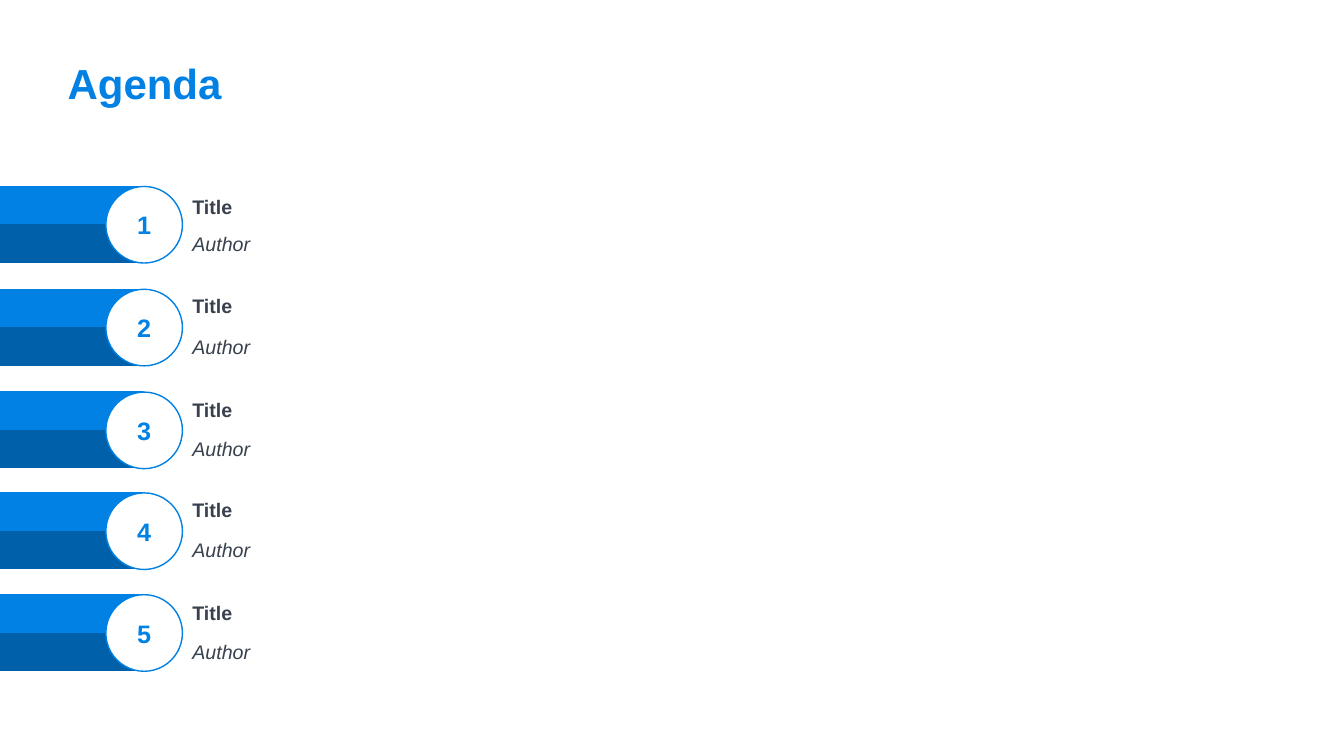
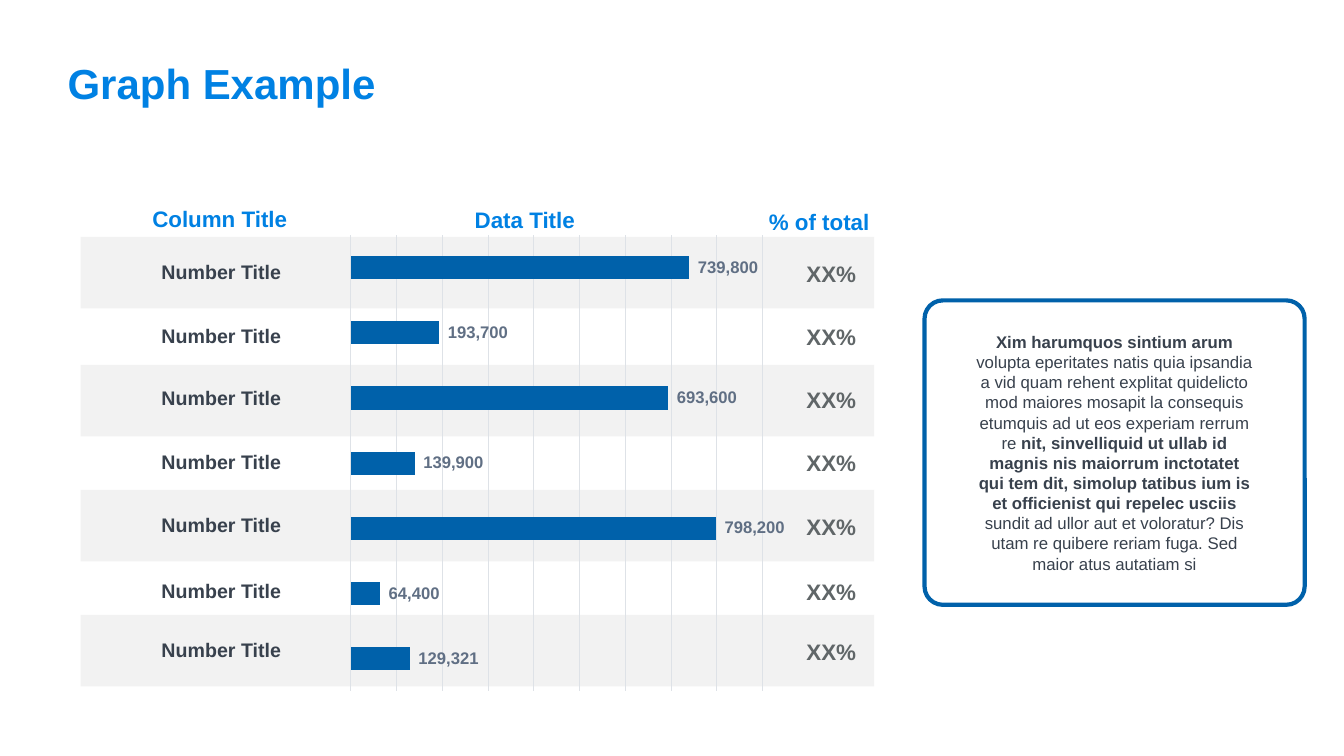
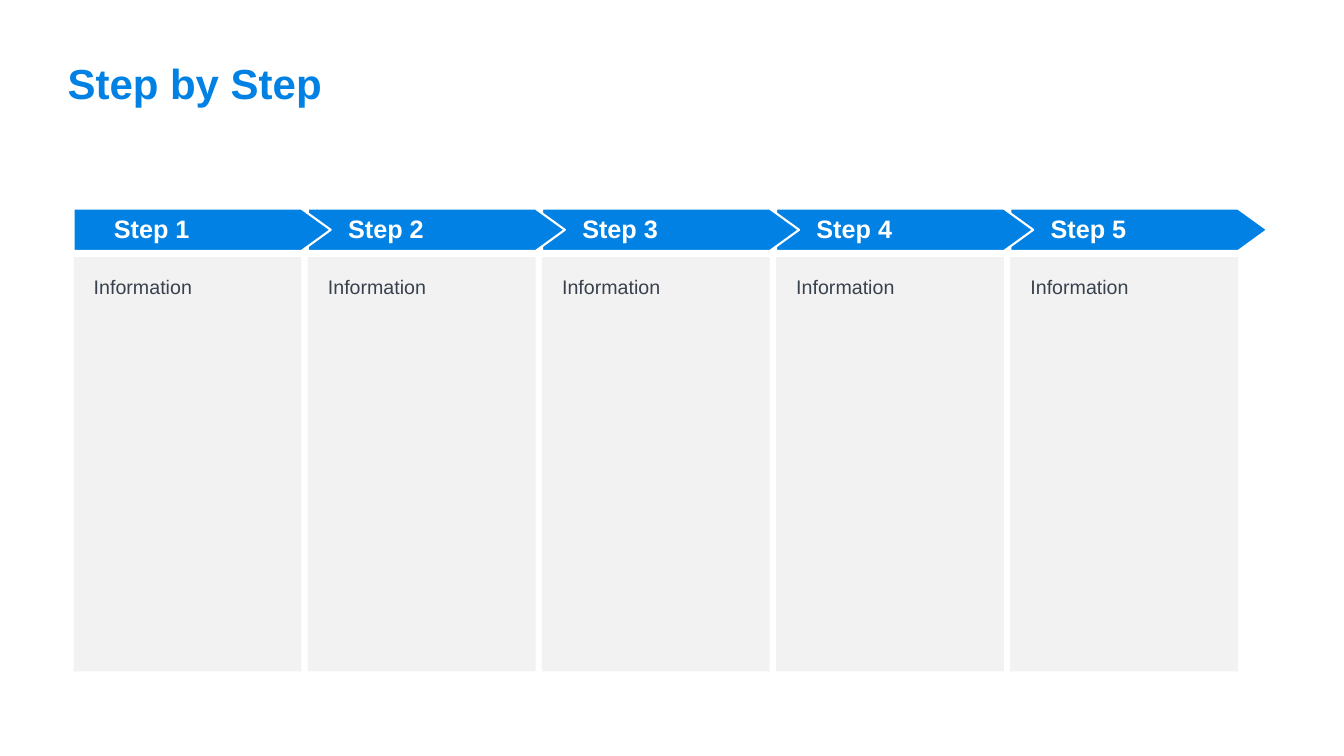
from lxml import etree
from pptx import Presentation
from pptx.chart.data import CategoryChartData
from pptx.dml.color import RGBColor
from pptx.enum.chart import XL_CHART_TYPE, XL_LABEL_POSITION, XL_TICK_LABEL_POSITION
from pptx.enum.shapes import MSO_SHAPE
from pptx.enum.text import MSO_ANCHOR, PP_ALIGN
from pptx.oxml.ns import qn
from pptx.util import Inches, Pt

RECT, OVAL = MSO_SHAPE.RECTANGLE, MSO_SHAPE.OVAL
ROUNDED, PENTAGON = MSO_SHAPE.ROUNDED_RECTANGLE, MSO_SHAPE.PENTAGON
LEFT, CENTER = PP_ALIGN.LEFT, PP_ALIGN.CENTER
TOP, MIDDLE = MSO_ANCHOR.TOP, MSO_ANCHOR.MIDDLE
rgb = RGBColor.from_string

FONT = "Arial"
BLUE, NAVY, WHITE = "0081E3", "0061AA", "FFFFFF"
TEXT, PALE = "38414D", "F2F2F2"
PERCENT_GREY, LABEL_GREY, GRID_GREY = "606668", "606F84", "DEE2E7"
NUMBER_FORMAT = '_(* #,##0_);_(* \\(#,##0\\);_(* "-"??_);_('


def add_box(s, kind, x, y, w, h, fill, line=None, line_pt=1):
    sp = s.shapes.add_shape(kind, Inches(x), Inches(y), Inches(w), Inches(h))
    sp.shadow.inherit = False
    sp.fill.solid()
    sp.fill.fore_color.rgb = rgb(fill)
    if line:
        sp.line.color.rgb = rgb(line)
        sp.line.width = Pt(line_pt)
    else:
        sp.line.fill.background()
    return sp


def add_text(sp, runs, size, color, align=LEFT, anchor=TOP, insets=(0.1, 0.05),
             spacing=1.0, italic=False):
    """Write (text, bold) runs as one paragraph; insets are horizontal, vertical."""
    tf = sp.text_frame
    tf.word_wrap = True
    tf.vertical_anchor = anchor
    tf.margin_left = tf.margin_right = Inches(insets[0])
    tf.margin_top = tf.margin_bottom = Inches(insets[1])
    p = tf.paragraphs[0]
    p.alignment = align
    p.line_spacing = spacing
    for text, bold in runs:
        r = p.add_run()
        r.text = text
        r.font.name = FONT
        r.font.size = Pt(size)
        r.font.bold = bold
        r.font.italic = italic
        r.font.color.rgb = rgb(color)


prs = Presentation()
prs.slide_width, prs.slide_height = Inches(13.33), Inches(7.5)

slides = []
for heading in ("Agenda", "Graph Example", "Step by Step"):
    s = prs.slides.add_slide(prs.slide_layouts[5])
    title = s.shapes.title
    title.left, title.top = Inches(0.67), Inches(0.57)
    title.width, title.height = Inches(12), Inches(0.45)
    add_text(title, [(heading, True)], 30, BLUE, insets=(0, 0))
    slides.append(s)
agenda, graph, steps = slides

# Agenda: top of each band and of the title beside it
agenda_rows = [(1.85, 1.91), (2.87, 2.89), (3.89, 3.92), (4.89, 4.92), (5.9, 5.94)]
for number, (top, title_top) in enumerate(agenda_rows, 1):
    add_box(agenda, RECT, 0, top + 0.37, 1.42, 0.38, NAVY, NAVY)
    add_box(agenda, RECT, 0, top, 1.42, 0.37, BLUE, BLUE)
    circle = add_box(agenda, OVAL, 1.05, top, 0.76, 0.76, WHITE, BLUE)
    add_text(circle, [(str(number), True)], 18, BLUE, CENTER, MIDDLE, insets=(0, 0))
    tb = agenda.shapes.add_textbox(Inches(1.81), Inches(title_top), Inches(6), Inches(0.31))
    add_text(tb, [("Title", True)], 14, TEXT, spacing=0.9)
    tb = agenda.shapes.add_textbox(Inches(1.81), Inches(top + 0.4), Inches(4.57), Inches(0.34))
    add_text(tb, [("Author", False)], 14, TEXT, italic=True)

# Graph: striped rows, bar chart, row labels and a comment box
for top in (2.35, 3.62, 4.86, 6.1):
    add_box(graph, RECT, 0.8, top, 7.87, 0.71, PALE)

values = [739800, 193700, 693600, 139900, 798200, 64400, 129321]
data = CategoryChartData()
data.categories = [str(i) for i in range(1, len(values) + 1)]
data.add_series("Series 1", values)
chart = graph.shapes.add_chart(XL_CHART_TYPE.BAR_CLUSTERED, Inches(3.39), Inches(2.24),
                               Inches(4.44), Inches(4.71), data).chart
chart.has_title = chart.has_legend = False
chart.font.name = FONT
chart.font.size = Pt(10)
chart.font.color.rgb = rgb(TEXT)

chart.category_axis.reverse_order = True
chart.category_axis.visible = False
axis = chart.value_axis
axis.visible = False
axis.minimum_scale, axis.maximum_scale, axis.major_unit = 0, 900000, 100000
axis.tick_label_position = XL_TICK_LABEL_POSITION.NONE
axis.has_major_gridlines = True
axis.major_gridlines.format.line.color.rgb = rgb(GRID_GREY)
axis.major_gridlines.format.line.width = Pt(0.75)

plot = chart.plots[0]
plot.gap_width = 182
plot.vary_by_categories = False
bars = plot.series[0]
bars.format.fill.solid()
bars.format.fill.fore_color.rgb = rgb(NAVY)
labels = bars.data_labels
labels.show_value = True
labels.position = XL_LABEL_POSITION.OUTSIDE_END
labels.number_format = NUMBER_FORMAT
labels.number_format_is_linked = False
labels.font.name = FONT
labels.font.size = Pt(12)
labels.font.bold = True
labels.font.color.rgb = rgb(LABEL_GREY)

# Fix the plot area so that the bars line up with the rows
plot_area = chart._chartSpace.chart.plotArea
for old in plot_area.findall(qn("c:layout")):
    plot_area.remove(old)
layout = etree.Element(qn("c:layout"))
plot_area.insert(0, layout)
manual = etree.SubElement(layout, qn("c:manualLayout"))
for tag, val in (("layoutTarget", "inner"), ("xMode", "edge"), ("yMode", "edge"),
                 ("x", "0.02"), ("y", "0.02"), ("w", "0.93"), ("h", "0.96")):
    etree.SubElement(manual, qn("c:" + tag)).set("val", val)

for text, x, y, w in (("Column Title", 0.8, 2.02, 2.76), ("Data Title", 3.3, 2.03, 3.81),
                      ("% of total", 7.48, 2.05, 1.29)):
    tb = graph.shapes.add_textbox(Inches(x), Inches(y), Inches(w), Inches(0.35))
    add_text(tb, [(text, True)], 16, BLUE, CENTER, spacing=0.9)

for top in (2.53, 3.16, 3.78, 4.41, 5.04, 5.69, 6.28):
    tb = graph.shapes.add_textbox(Inches(0.67), Inches(top), Inches(3.05), Inches(0.35))
    add_text(tb, [("Number Title", True)], 14, TEXT, CENTER)
    tb = graph.shapes.add_textbox(Inches(7.9), Inches(top), Inches(0.95), Inches(0.37))
    add_text(tb, [("XX%", True)], 16, PERCENT_GREY)

comment = add_box(graph, ROUNDED, 9.17, 2.98, 3.77, 3.02, WHITE, NAVY, 3)
comment.adjustments[0] = 0.06
add_text(comment, [
    ("Xim harumquos sintium arum ", True),
    ("volupta eperitates natis quia ipsandia a vid quam rehent explitat quidelicto mod "
     "maiores mosapit la consequis etumquis ad ut eos experiam rerrum re ", False),
    ("nit, sinvelliquid ut ullab id magnis nis maiorrum inctotatet qui tem dit, simolup "
     "tatibus ium is et officienist qui repelec usciis ", True),
    ("sundit ad ullor aut et voloratur? Dis utam re quibere reriam fuga. Sed maior atus "
     "autatiam si", False),
], 12, TEXT, CENTER, MIDDLE, insets=(0.46, 0.05))

# Steps: drawn from the right so that each arrow overlaps the next one
for number in range(5, 0, -1):
    x = 0.73 + 2.3225 * (number - 1)
    panel = add_box(steps, RECT, x, 2.55, 2.26, 4.11, PALE)
    add_text(panel, [("Information", False)], 14, TEXT, insets=(0.2, 0.2), spacing=0.9)
    arrow = add_box(steps, PENTAGON, x, 2.07, 2.55, 0.42, BLUE, WHITE, 1.5)
    arrow.adjustments[0] = 0.69
    add_text(arrow, [(f"Step {number}", True)], 18, WHITE, anchor=MIDDLE,
             insets=(0.4, 0), spacing=0.9)

prs.save("out.pptx")
